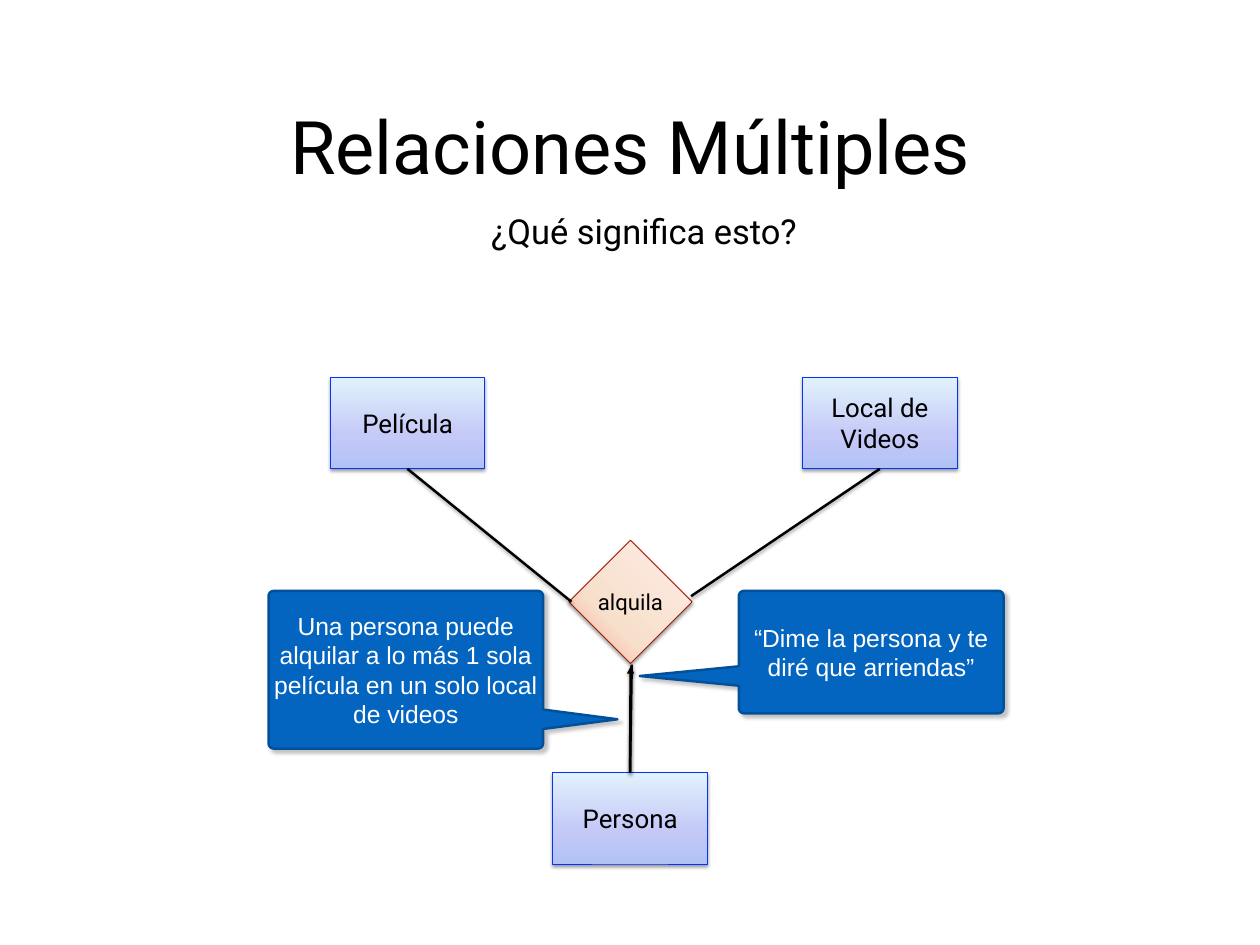
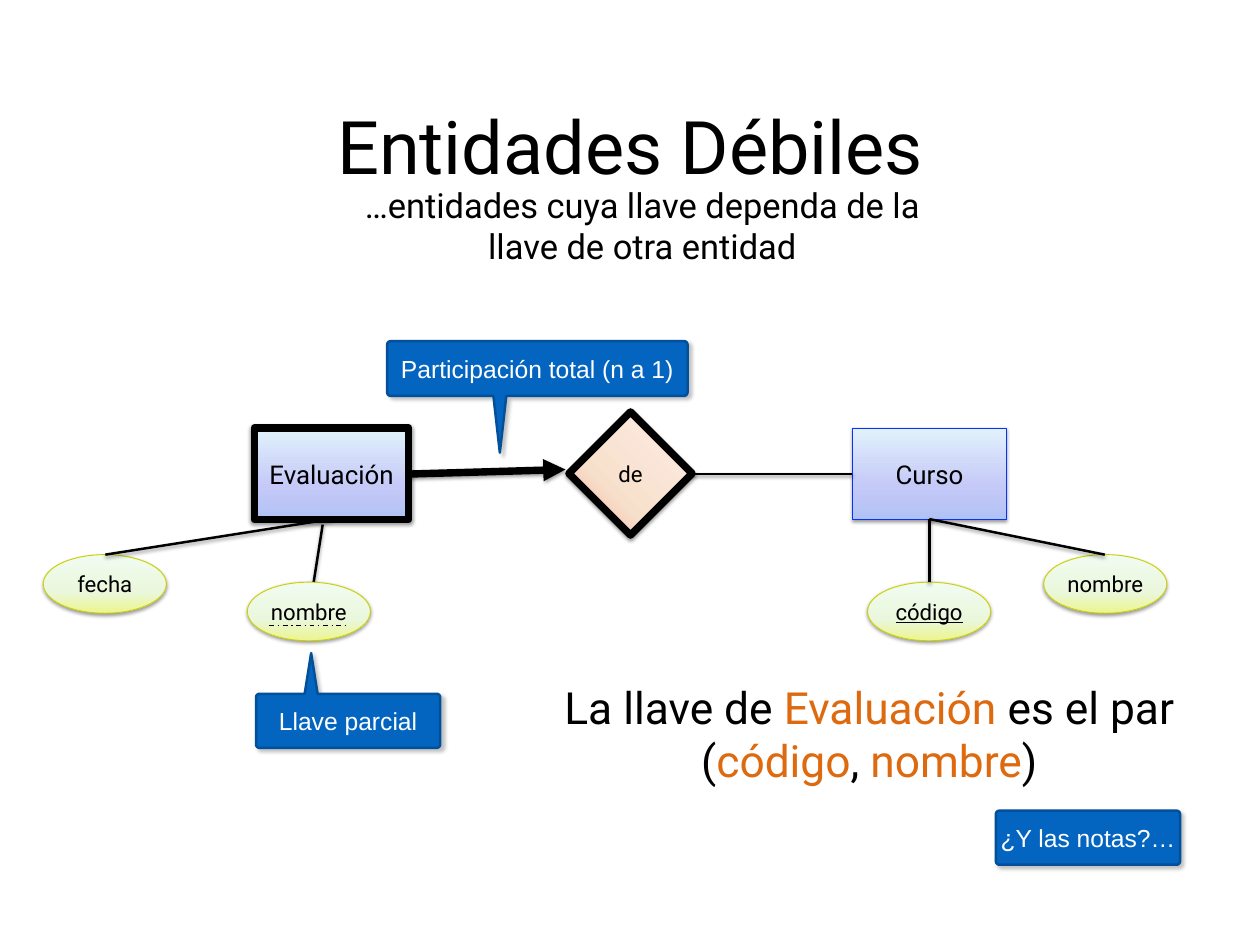
from dataclasses import dataclass
from math import cos, radians, sin
from typing import Optional

from lxml import etree
from pptx import Presentation
from pptx.dml.color import RGBColor
from pptx.enum.dml import MSO_LINE
from pptx.enum.shapes import MSO_CONNECTOR, MSO_SHAPE
from pptx.enum.text import MSO_ANCHOR, MSO_AUTO_SIZE, PP_ALIGN
from pptx.oxml.ns import qn
from pptx.util import Cm, Pt

RECT = MSO_SHAPE.RECTANGLE
DIAMOND = MSO_SHAPE.DIAMOND
OVAL = MSO_SHAPE.OVAL
STRAIGHT = MSO_CONNECTOR.STRAIGHT
DASH_DOT = MSO_LINE.DASH_DOT
MIDDLE = MSO_ANCHOR.MIDDLE
CENTER = PP_ALIGN.CENTER
NO_FIT = MSO_AUTO_SIZE.NONE

BLACK, WHITE, ORANGE = "000000", "FFFFFF", "DE6A10"
CALLOUT_FILL, CALLOUT_LINE = "0365C0", "025099"
ROBOTO, ARIAL = "Roboto", "Arial"
TITLE_BOX = (5.44, 2.77, 25.25, 2.77)
TEXT_INSET = 0.15
HEAVY = 6

Point = tuple[float, float]
Box = tuple[float, float, float, float]
Insets = tuple[float, float, float, float]


@dataclass(frozen=True)
class Shadow:
    alpha: int
    distance: float
    angle: int
    blur: float = 3


@dataclass(frozen=True)
class NodeStyle:
    preset: int
    width: float
    height: float
    stops: tuple[tuple[int, str], ...]
    angle: int
    line: str
    size: int
    wrap: bool = True


@dataclass(frozen=True)
class Node:
    style: NodeStyle
    text: str
    left: float
    top: float
    heavy: bool = False
    underline: bool = False


@dataclass(frozen=True)
class Link:
    start: Point
    end: Point
    width: float = 2
    arrow: bool = False
    dashed: bool = False


@dataclass(frozen=True)
class Callout:
    text: str
    body: Box
    tip: Optional[Point] = None
    corner: float = 0.1


SOFT_SHADOW = Shadow(38, 1.6, 90)
CALLOUT_SHADOW = Shadow(24, 3.3, 44)
ENTITY = NodeStyle(RECT, 4.43, 2.62, ((0, "B2C2F5"), (36, "C4C9F7"), (100, "E1F2FC")),
                   270, "0433FF", 21)
RELATION = NodeStyle(DIAMOND, 3.53, 3.53, ((0, "F5A09A"), (35, "F7E0CB"), (100, "FFEBE7")),
                     315, "A01D04", 18, wrap=False)
ATTRIBUTE = NodeStyle(OVAL, 3.53, 1.68, ((0, "ECF58E"), (36, "EAF7DC"), (100, "F1FCF1")),
                      270, "CCCF00", 18)


def rgb(color: str) -> RGBColor:
    return RGBColor.from_string(color)


def add_color(parent, color: str):
    return etree.SubElement(parent, qn("a:srgbClr"), val=color)


def add_shadow(s, shadow: Shadow) -> None:
    sp_pr = s._element.spPr
    effects = sp_pr.find(qn("a:effectLst"))
    if effects is None:
        effects = etree.SubElement(sp_pr, qn("a:effectLst"))
    outer = etree.SubElement(
        effects, qn("a:outerShdw"), blurRad=str(Pt(shadow.blur)),
        dist=str(Pt(shadow.distance)), dir=str(shadow.angle * 60000), rotWithShape="0")
    etree.SubElement(add_color(outer, BLACK), qn("a:alpha"), val=str(shadow.alpha * 1000))


def fill_gradient(s, style: NodeStyle) -> None:
    s.fill.background()
    sp_pr = s._element.spPr
    grad = etree.Element(qn("a:gradFill"), rotWithShape="1")
    stops = etree.SubElement(grad, qn("a:gsLst"))
    for pos, color in style.stops:
        add_color(etree.SubElement(stops, qn("a:gs"), pos=str(pos * 1000)), color)
    etree.SubElement(grad, qn("a:lin"), ang=str(style.angle * 60000), scaled="0")
    sp_pr.replace(sp_pr.find(qn("a:noFill")), grad)


def set_line(s, color: str, width: float) -> None:
    s.line.color.rgb = rgb(color)
    s.line.width = Pt(width)


def format_text(tf, size: int, font: str = ROBOTO, color: str = BLACK,
                insets: Insets = (0, 0, 0, 0), wrap: bool = True) -> None:
    tf.word_wrap = wrap
    tf.auto_size = NO_FIT
    tf.vertical_anchor = MIDDLE
    tf.margin_left, tf.margin_top, tf.margin_right, tf.margin_bottom = map(Cm, insets)
    for p in tf.paragraphs:
        p.alignment = CENTER
        for r in p.runs:
            r.font.size = Pt(size)
            r.font.name = font
            r.font.color.rgb = rgb(color)


def add_titled_slide(prs, title: str):
    slide = prs.slides.add_slide(prs.slide_layouts[5])
    s = slide.shapes.title
    s.left, s.top, s.width, s.height = map(Cm, TITLE_BOX)
    s.text_frame.text = title
    format_text(s.text_frame, 60, insets=(TEXT_INSET,) * 4)
    return slide


def add_text(slide, box: Box, size: int, *parts: tuple[str, str]) -> None:
    """Write one centred paragraph from (text, colour) parts."""
    tf = slide.shapes.add_textbox(*map(Cm, box)).text_frame
    p = tf.paragraphs[0]
    for text, _ in parts:
        p.add_run().text = text
    format_text(tf, size, insets=(TEXT_INSET,) * 4)
    for r, (_, color) in zip(p.runs, parts):
        r.font.color.rgb = rgb(color)


def add_node(slide, node: Node) -> None:
    style = node.style
    s = slide.shapes.add_shape(style.preset, Cm(node.left), Cm(node.top),
                               Cm(style.width), Cm(style.height))
    fill_gradient(s, style)
    set_line(s, BLACK if node.heavy else style.line, HEAVY if node.heavy else 0.75)
    s.shadow.inherit = False
    add_shadow(s, SOFT_SHADOW)
    s.text_frame.text = node.text
    format_text(s.text_frame, style.size, wrap=style.wrap)
    if node.underline:
        s.text_frame.paragraphs[0].runs[0].font.underline = True


def add_link(slide, link: Link) -> None:
    c = slide.shapes.add_connector(STRAIGHT, *map(Cm, link.start + link.end))
    set_line(c, BLACK, link.width)
    if link.dashed:
        c.line.dash_style = DASH_DOT
    if link.arrow:
        etree.SubElement(c._element.spPr.find(qn("a:ln")), qn("a:tailEnd"), type="triangle")
    if link.dashed:
        etree.SubElement(c._element.spPr, qn("a:effectLst"))
    else:
        add_shadow(c, SOFT_SHADOW)


def tail_insets(callout: Callout) -> Insets:
    """Return how far the tail sticks out on the left, top, right and bottom."""
    if callout.tip is None:
        return (0, 0, 0, 0)
    left, top, width, height = callout.body
    x, y = callout.tip
    return (max(left - x, 0), max(top - y, 0),
            max(x - left - width, 0), max(y - top - height, 0))


def callout_outline(callout: Callout) -> list[Point]:
    """Walk clockwise round the rounded body, with the tail on the side facing its tip."""
    left, top, width, height = callout.body
    r = callout.corner
    right, bottom = left + width, top + height
    half = 1.85 * r
    tail_left, tail_top, tail_right, tail_bottom = tail_insets(callout)
    corners = (
        (left + r, top + r, 180, tail_top, (1, 0), top),
        (right - r, top + r, 270, tail_right, (0, 1), right),
        (right - r, bottom - r, 0, tail_bottom, (-1, 0), bottom),
        (left + r, bottom - r, 90, tail_left, (0, -1), left),
    )
    points = []
    for cx, cy, start, tail, (dx, dy), edge in corners:
        for angle in range(start, start + 91, 15):
            points.append((cx + r * cos(radians(angle)), cy + r * sin(radians(angle))))
        if tail:
            x, y = callout.tip
            bx, by = (x, edge) if dx else (edge, y)
            points += [(bx - half * dx, by - half * dy), (x, y),
                       (bx + half * dx, by + half * dy)]
    return points


def add_callout(slide, callout: Callout) -> None:
    first, *rest = [(Cm(x), Cm(y)) for x, y in callout_outline(callout)]
    builder = slide.shapes.build_freeform(*first)
    builder.add_line_segments(rest, close=True)
    s = builder.convert_to_shape()
    s.fill.solid()
    s.fill.fore_color.rgb = rgb(CALLOUT_FILL)
    set_line(s, CALLOUT_LINE, 2)
    s.shadow.inherit = False
    add_shadow(s, CALLOUT_SHADOW)
    s.text_frame.text = callout.text
    format_text(s.text_frame, 20, ARIAL, WHITE, tail_insets(callout))


def draw(slide, *items) -> None:
    drawers = {Node: add_node, Link: add_link, Callout: add_callout}
    for item in items:
        drawers[type(item)](slide, item)


def build_multiple_relations(prs) -> None:
    slide = add_titled_slide(prs, "Relaciones Múltiples")
    add_text(slide, (10.13, 5.89, 16.66, 1.45), 28, ("¿Qué significa esto?", BLACK))
    draw(
        slide,
        Node(ENTITY, "Película", 9.47, 10.82),
        Node(RELATION, "alquila", 16.31, 15.49),
        Node(ENTITY, "Local de Videos", 23.01, 10.82),
        Link((11.68, 13.44), (16.38, 17.25)),
        Link((19.81, 17.09), (25.22, 13.44)),
        Node(ENTITY, "Persona", 15.85, 22.15),
        Link((18.06, 22.15), (18.11, 19.05)),
        Link((18.06, 22.15), (18.08, 19.1), arrow=True),
        Callout("Una persona puede alquilar a lo más 1 sola película en un solo local de videos",
                (7.7, 16.94, 7.87, 4.52), (17.7, 20.62), 0.15),
        Callout("“Dime la persona y te diré que arriendas”",
                (21.18, 16.94, 7.59, 3.51), (18.34, 19.38), 0.15),
    )


def build_weak_entities(prs) -> None:
    slide = add_titled_slide(prs, "Entidades Débiles")
    draw(
        slide,
        Node(ENTITY, "Evaluación", 7.29, 12.27, heavy=True),
        Node(RELATION, "de", 16.31, 11.81, heavy=True),
        Node(ENTITY, "Curso", 24.43, 12.27),
        Link((11.71, 13.59), (16.21, 13.46), HEAVY, arrow=True),
        Link((19.74, 13.59), (24.43, 13.59)),
        Node(ATTRIBUTE, "fecha", 1.24, 15.9),
        Link((3.02, 15.9), (9.5, 14.88)),
        Link((8.86, 17.53), (9.25, 15.04)),
        Node(ATTRIBUTE, "código", 24.87, 16.69, underline=True),
        Node(ATTRIBUTE, "nombre", 29.92, 15.9),
        Link((26.64, 14.88), (31.67, 15.9)),
        Link((26.64, 14.88), (26.64, 16.69)),
        Node(ATTRIBUTE, "nombre", 7.09, 16.69),
        Link((7.72, 17.93), (9.98, 17.93), 1, dashed=True),
        Callout("Llave parcial", (7.34, 19.89, 5.28, 1.55), (8.92, 18.72)),
        Callout("Participación total (n a 1)", (11.1, 9.78, 8.61, 1.57), (14.33, 12.98)),
        Callout("¿Y las notas?…", (28.55, 23.24, 5.28, 1.55)),
    )
    add_text(slide, (10.08, 5.13, 16.66, 2.64), 28,
             ("…entidades cuya llave dependa de la llave de otra entidad", BLACK))
    add_text(slide, (14.76, 19.38, 20.32, 3.28), 36,
             ("La llave de ", BLACK), ("Evaluación", ORANGE), (" es el par (", BLACK),
             ("código", ORANGE), (", ", BLACK), ("nombre", ORANGE), (")", BLACK))


def main() -> None:
    prs = Presentation()
    prs.slide_width, prs.slide_height = Cm(36.12), Cm(27.09)
    build_multiple_relations(prs)
    build_weak_entities(prs)
    prs.save("out.pptx")


if __name__ == "__main__":
    main()
